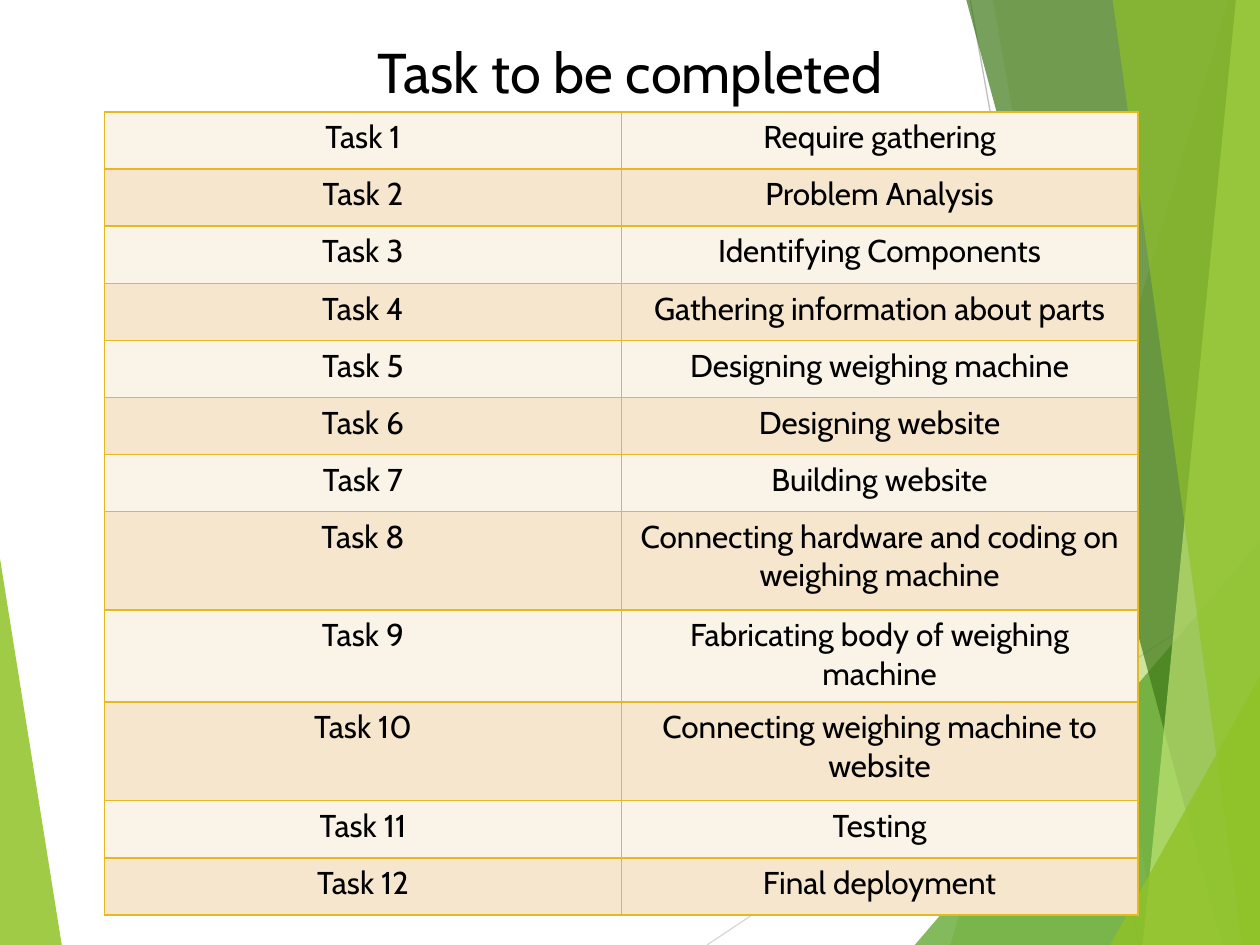
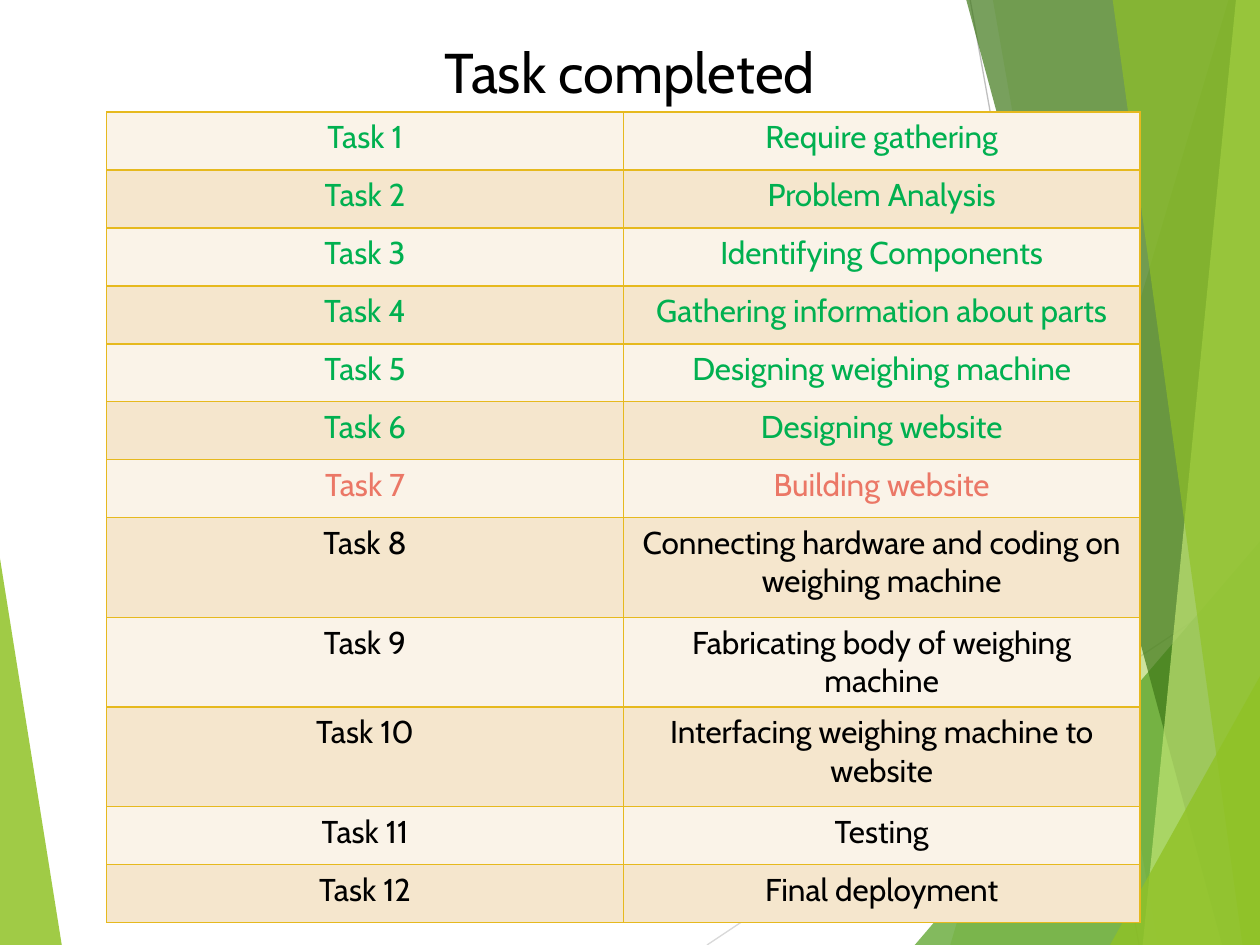
from dataclasses import dataclass
from enum import Enum
from typing import NamedTuple

from lxml import etree
from pptx import Presentation
from pptx.dml.color import RGBColor
from pptx.enum.shapes import MSO_CONNECTOR
from pptx.enum.text import MSO_ANCHOR, PP_ALIGN
from pptx.oxml.ns import qn
from pptx.slide import Slide
from pptx.table import _Cell
from pptx.text.text import TextFrame
from pptx.util import Pt

STRAIGHT = MSO_CONNECTOR.STRAIGHT
CENTER = PP_ALIGN.CENTER
TOP = MSO_ANCHOR.TOP
BORDER_SIDES = ("a:lnL", "a:lnR", "a:lnT", "a:lnB")
PAGE_WIDTH, PAGE_HEIGHT = 720, 540
EDGE = 720.7
BLANK_LAYOUT = 6


@dataclass(frozen=True)
class Theme:
    font: str = "Cabin"
    title_size: float = 32
    table_size: float = 18
    text: str = "000000"
    done: str = "00B050"
    active: str = "EB7766"
    border: str = "E6B91E"
    border_width: float = 1
    row_fills: tuple[str, str] = ("FAF3E8", "F5E6CD")
    lime: str = "90C226"
    green: str = "54A021"
    forest: str = "3F7819"
    pale_lime: str = "C0E474"
    light_line: str = "D9D9D9"
    dark_line: str = "BFBFBF"
    line_width: float = 0.75


THEME = Theme()


class Status(Enum):
    OPEN = THEME.text
    DONE = THEME.done
    ACTIVE = THEME.active


class Point(NamedTuple):
    x: float
    y: float


class Facet(NamedTuple):
    color: str
    opacity: int
    corners: tuple[Point, ...]


class Ray(NamedTuple):
    color: str
    start: Point
    end: Point


class Task(NamedTuple):
    title: str
    status: Status = Status.OPEN


@dataclass(frozen=True)
class TaskPage:
    title: str
    table_left: float
    row_height: float
    special_heights: dict[int, float]
    tasks: list[Task]


def right_band(color: str, opacity: int, top: float, bottom: float) -> Facet:
    corners = (Point(top, 0), Point(bottom, PAGE_HEIGHT),
               Point(EDGE, PAGE_HEIGHT), Point(EDGE, 0))
    return Facet(color, opacity, corners)


def right_wedge(color: str, opacity: int, left: float, top: float) -> Facet:
    corners = (Point(left, PAGE_HEIGHT), Point(EDGE, top), Point(EDGE, PAGE_HEIGHT))
    return Facet(color, opacity, corners)


RAYS = [
    Ray(THEME.light_line, Point(404, PAGE_HEIGHT), Point(EDGE, 329)),
    Ray(THEME.dark_line, Point(554.4, 0), Point(650.9, PAGE_HEIGHT)),
]
LEFT_WEDGE = Facet(THEME.lime, 85, (
    Point(-0.5, 316), Point(35.3, PAGE_HEIGHT), Point(-0.5, PAGE_HEIGHT)))
RIGHT_FACETS = [
    right_band(THEME.lime, 30, 702, 543),
    right_band(THEME.lime, 20, 567.4, 661.7),
    right_wedge(THEME.green, 72, 522.7, 308.5),
    right_band(THEME.forest, 70, 552.2, 698.4),
    right_band(THEME.pale_lime, 70, 706.3, 653),
    right_band(THEME.lime, 65, 635.8, 710),
    right_wedge(THEME.lime, 80, 634.3, 385.2),
]

TASK_TITLES = [
    "Require gathering",
    "Problem Analysis",
    "Identifying Components",
    "Gathering information about parts",
    "Designing weighing machine",
    "Designing website",
    "Building website",
    "Connecting hardware and coding on weighing machine",
    "Fabricating body of weighing machine",
    "Connecting weighing machine to website",
    "Testing",
    "Final deployment",
]
DONE_COUNT = 6


def progress_tasks() -> list[Task]:
    statuses = [Status.DONE] * DONE_COUNT + [Status.ACTIVE]
    statuses += [Status.OPEN] * (len(TASK_TITLES) - len(statuses))
    return [Task(title.replace("Connecting weighing", "Interfacing weighing"), status)
            for title, status in zip(TASK_TITLES, statuses)]


PAGES = [
    TaskPage("Task to be completed", 59.8, 32.64, {8: 56.3, 9: 52.6, 10: 56.3},
             [Task(title) for title in TASK_TITLES]),
    TaskPage("Task completed", 61, 33.12, {8: 57, 9: 51.2, 10: 57}, progress_tasks()),
]


def rgb(color: str) -> RGBColor:
    return RGBColor.from_string(color)


def draw_facet(page: Slide, facet: Facet) -> None:
    first, *others = [(Pt(corner.x), Pt(corner.y)) for corner in facet.corners]
    builder = page.shapes.build_freeform(*first)
    builder.add_line_segments(others, close=True)
    shape = builder.convert_to_shape()
    shape.shadow.inherit = False
    shape.fill.solid()
    shape.fill.fore_color.rgb = rgb(facet.color)
    shape.line.fill.background()
    color = shape.element.spPr.find(qn("a:solidFill"))[0]
    etree.SubElement(color, qn("a:alpha"), val=str(facet.opacity * 1000))


def draw_ray(page: Slide, ray: Ray) -> None:
    line = page.shapes.add_connector(STRAIGHT, Pt(ray.start.x), Pt(ray.start.y),
                                     Pt(ray.end.x), Pt(ray.end.y))
    line.line.color.rgb = rgb(ray.color)
    line.line.width = Pt(THEME.line_width)
    etree.SubElement(line.element.spPr, qn("a:effectLst"))


def draw_backdrop(page: Slide) -> None:
    draw_facet(page, LEFT_WEDGE)
    for ray in RAYS:
        draw_ray(page, ray)
    for facet in RIGHT_FACETS:
        draw_facet(page, facet)


def write(frame: TextFrame, text: str, size: float, color: str) -> None:
    para = frame.paragraphs[0]
    para.alignment = CENTER
    span = para.add_run()
    span.text = text
    span.font.name = THEME.font
    span.font.size = Pt(size)
    span.font.color.rgb = rgb(color)


def draw_title(page: Slide, title: str) -> None:
    box = page.shapes.add_textbox(Pt(66), Pt(18), Pt(588), Pt(46))
    box.text_frame.word_wrap = True
    write(box.text_frame, title, THEME.title_size, THEME.text)


def add_borders(cell: _Cell) -> None:
    properties = cell._tc.get_or_add_tcPr()
    for position, side in enumerate(BORDER_SIDES):
        border = etree.Element(qn(side), w=str(Pt(THEME.border_width)))
        fill = etree.SubElement(border, qn("a:solidFill"))
        etree.SubElement(fill, qn("a:srgbClr"), val=THEME.border)
        properties.insert(position, border)


def fill_cell(cell: _Cell, text: str, fill: str, color: str) -> None:
    cell.fill.solid()
    cell.fill.fore_color.rgb = rgb(fill)
    cell.vertical_anchor = TOP
    write(cell.text_frame, text, THEME.table_size, color)
    add_borders(cell)


def draw_tasks(page: Slide, content: TaskPage) -> None:
    numbers = range(1, len(content.tasks) + 1)
    heights = [content.special_heights.get(number, content.row_height) for number in numbers]
    table = page.shapes.add_table(len(heights), 2, Pt(content.table_left), Pt(64),
                                  Pt(590.4), Pt(sum(heights))).table
    table.first_row = False
    table.horz_banding = False
    for number, task, row, height in zip(numbers, content.tasks, table.rows, heights):
        row.height = Pt(height)
        fill = THEME.row_fills[(number - 1) % 2]
        for cell, text in zip(row.cells, (f"Task {number}", task.title)):
            fill_cell(cell, text, fill, task.status.value)


def main() -> None:
    deck = Presentation()
    deck.slide_width, deck.slide_height = Pt(PAGE_WIDTH), Pt(PAGE_HEIGHT)
    for content in PAGES:
        page = deck.slides.add_slide(deck.slide_layouts[BLANK_LAYOUT])
        draw_backdrop(page)
        draw_tasks(page, content)
        draw_title(page, content.title)
    deck.save("out.pptx")


if __name__ == "__main__":
    main()
